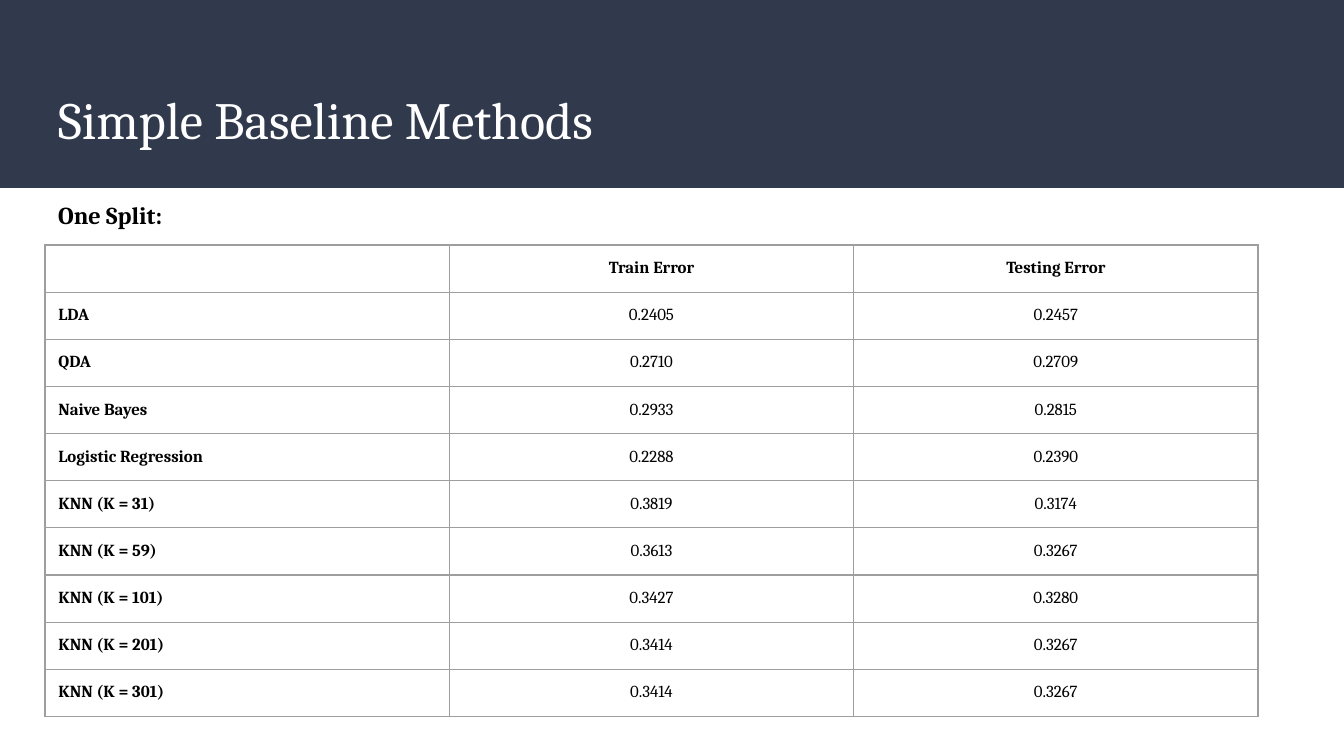
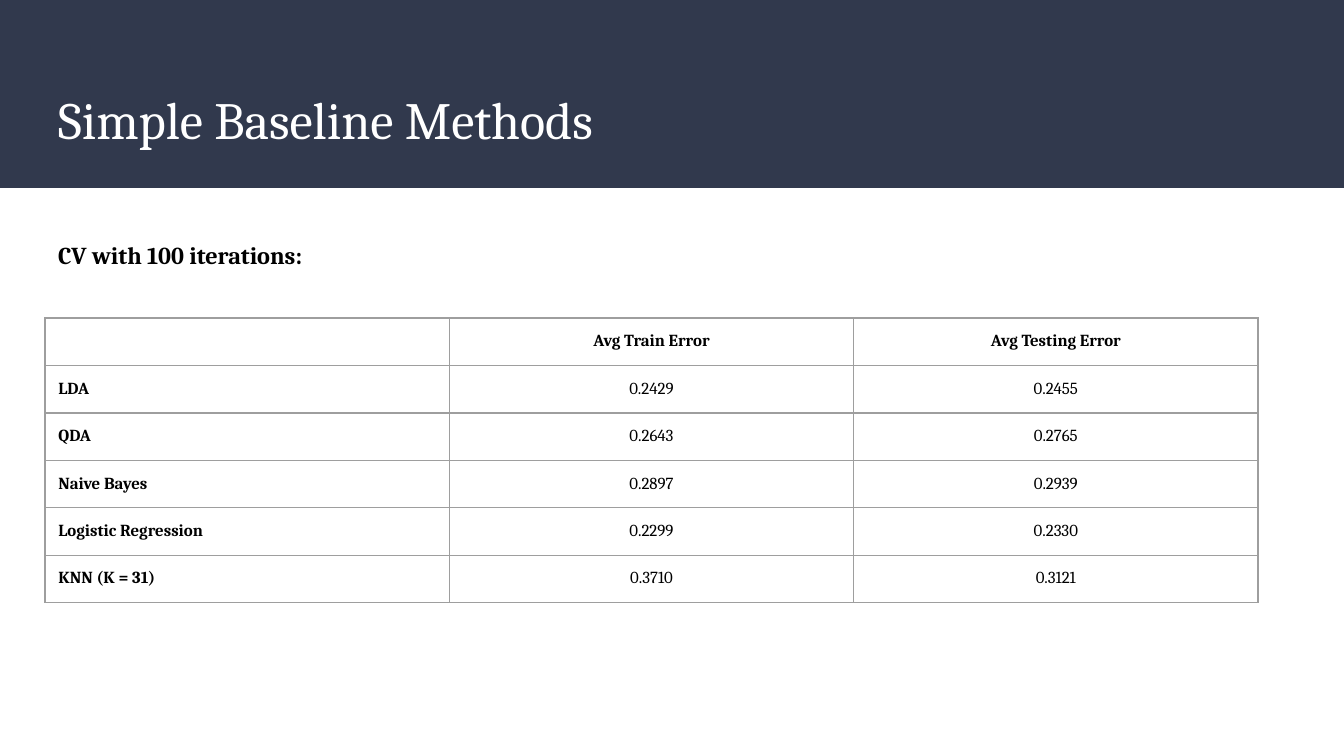
from lxml import etree
from pptx import Presentation, util as u
from pptx.dml.color import RGBColor
from pptx.enum import shapes, text
from pptx.oxml.ns import qn

PX = 914400 / 134.4
WIDE, HIGH = 1344, 756
LEFT = 45
FONT = "Cambria"
HUES = {"band": "31394D", "title": "FFFFFF", "ink": "000000", "rule": "9E9E9E"}


def px(n):
    return u.Emu(round(n * PX))


class Deck:
    def __init__(self):
        self.file = Presentation()
        self.file.slide_width, self.file.slide_height = px(WIDE), px(HIGH)
        self.slide = None

    def page(self, title):
        """Start a slide with its band and title."""
        self.slide = self.file.slides.add_slide(self.file.slide_layouts[6])
        self.band(0, 0, WIDE, 188)
        self.text(title, LEFT, 74, 1253, 91, 28, "title")

    def band(self, *box):
        bar = self.slide.shapes.add_shape(shapes.MSO_SHAPE.RECTANGLE, *map(px, box))
        bar.shadow.inherit = False
        bar.fill.solid()
        bar.fill.fore_color.rgb = RGBColor.from_string(HUES["band"])
        bar.line.fill.background()

    def style(self, para, size, hue="ink", bold=False):
        font = para.font
        font.name, font.size, font.bold = FONT, u.Pt(size), bold
        font.color.rgb = RGBColor.from_string(HUES[hue])

    def text(self, words, x, y, w, h, size, hue="ink", bold=False):
        frame = self.slide.shapes.add_textbox(*map(px, (x, y, w, h))).text_frame
        frame.word_wrap = True
        frame.vertical_anchor = text.MSO_ANCHOR.TOP
        frame.margin_left = frame.margin_right = u.Inches(0.1)
        frame.margin_top = frame.margin_bottom = u.Inches(0.1)
        para = frame.paragraphs[0]
        para.text = words
        self.style(para, size, hue, bold)

    def table(self, rows, y, w, h):
        """Draw a ruled table with a bold first row and first column."""
        grid = self.slide.shapes.add_table(
            len(rows), len(rows[0]), px(LEFT), px(y), px(w), px(h)).table
        grid.first_row = grid.horz_banding = False
        for r, row in enumerate(rows):
            for c, words in enumerate(row):
                self.cell(grid.cell(r, c), words, r == 0 or c == 0, c > 0)

    def cell(self, cell, words, bold, mid):
        cell.margin_left = cell.margin_right = u.Inches(0.1)
        cell.margin_top = cell.margin_bottom = u.Inches(0.1)
        para = cell.text_frame.paragraphs[0]
        if words:
            para.text = words
        else:
            # An empty cell takes its height from the end mark
            para._p.get_or_add_endParaRPr().set("sz", "900")
        para.alignment = text.PP_ALIGN.CENTER if mid else text.PP_ALIGN.LEFT
        self.style(para, 9, bold=bold)
        # Borders come before the fill in the cell properties
        props = cell._tc.get_or_add_tcPr()
        for side in ("lnL", "lnR", "lnT", "lnB"):
            line = etree.SubElement(props, qn("a:" + side), w=str(u.Pt(0.75)))
            fill = etree.SubElement(line, qn("a:solidFill"))
            etree.SubElement(fill, qn("a:srgbClr"), val=HUES["rule"])
        cell.fill.background()


def main():
    deck = Deck()
    title = "Simple Baseline Methods"

    # Errors on one split
    deck.page(title)
    deck.table([
        ("", "Train Error", "Testing Error"),
        ("LDA", "0.2405", "0.2457"),
        ("QDA", "0.2710", "0.2709"),
        ("Naive Bayes", "0.2933", "0.2815"),
        ("Logistic Regression", "0.2288", "0.2390"),
        ("KNN (K = 31)", "0.3819", "0.3174"),
        ("KNN (K = 59)", "0.3613", "0.3267"),
        ("KNN (K = 101)", "0.3427", "0.3280"),
        ("KNN (K = 201)", "0.3414", "0.3267"),
        ("KNN (K = 301)", "0.3414", "0.3267"),
    ], 245, 1213, 470)
    deck.text("One Split:", LEFT, 187, 626, 56, 13, bold=True)

    # Mean errors under cross-validation
    deck.page(title)
    deck.table([
        ("", "Avg Train Error", "Avg Testing Error"),
        ("LDA", "0.2429", "0.2455"),
        ("QDA", "0.2643", "0.2765"),
        ("Naive Bayes", "0.2897", "0.2939"),
        ("Logistic Regression", "0.2299", "0.2330"),
        ("KNN (K = 31)", "0.3710", "0.3121"),
    ], 318, 1213, 285)
    deck.text("CV with 100 iterations:", LEFT, 227, 626, 56, 13, bold=True)

    deck.file.save("out.pptx")


if __name__ == "__main__":
    main()
